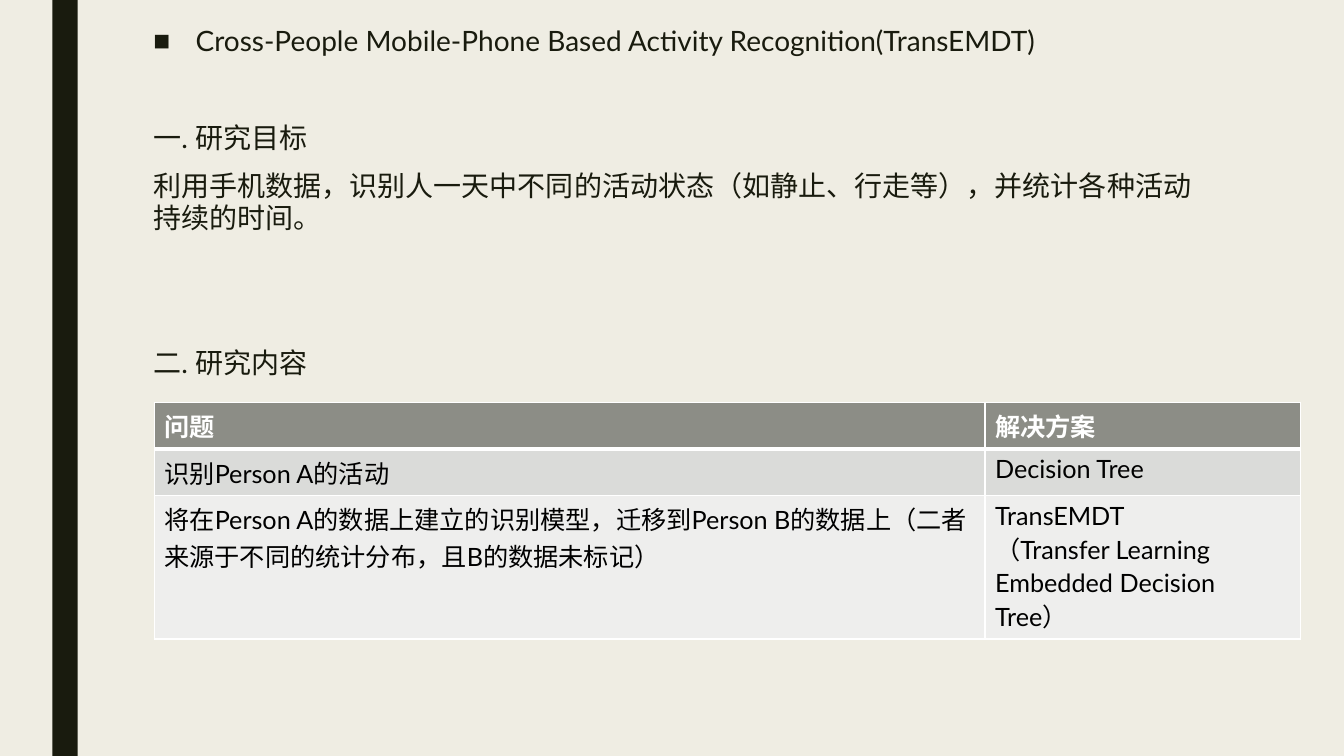
from dataclasses import dataclass

from lxml import etree
from pptx import Presentation
from pptx.dml.color import RGBColor
from pptx.enum import shapes, text
from pptx.oxml import ns
from pptx.util import Inches, Pt


@dataclass(frozen=True)
class Theme:
    font: str = "Lato"
    background: str = "EFEDE3"
    ink: str = "191B0E"
    white: str = "FFFFFF"
    black: str = "000000"
    header_fill: str = "8C8D86"
    row_fills: tuple[str, ...] = ("DADBD9", "EEEEED")
    body_size: int = 20
    table_size: int = 18


@dataclass(frozen=True)
class BodyLine:
    wording: str
    space_before: float = 10
    bulleted: bool = False


@dataclass(frozen=True)
class TableRow:
    problem: str
    solution: tuple[str, ...]


THEME = Theme()

BODY_LINES = [
    BodyLine("Cross-People Mobile-Phone Based Activity Recognition(TransEMDT)", bulleted=True),
    BodyLine("一. 研究目标", space_before=44.6),
    BodyLine("利用手机数据，识别人一天中不同的活动状态（如静止、行走等），并统计各种活动持续的时间。"),
    BodyLine("二. 研究内容", space_before=79.2),
]

TABLE_ROWS = [
    TableRow("问题", ("解决方案",)),
    TableRow("识别Person A的活动", ("Decision Tree",)),
    TableRow(
        "将在Person A的数据上建立的识别模型，迁移到Person B的数据上（二者来源于不同的统计分布，且B的数据未标记）",
        ("TransEMDT", "（Transfer Learning Embedded Decision Tree）"),
    ),
]


def color(value: str) -> RGBColor:
    return RGBColor.from_string(value)


def add_run(paragraph, wording: str, size: int, ink: str, bold: bool = False) -> None:
    run = paragraph.add_run()
    run.text = wording
    run.font.name = THEME.font
    run.font.size = Pt(size)
    run.font.bold = bold
    run.font.color.rgb = color(ink)


def set_bullet(paragraph, bulleted: bool) -> None:
    properties = paragraph._p.get_or_add_pPr()
    indent = Inches(0.42) if bulleted else 0
    properties.set("marL", str(indent))
    properties.set("indent", str(-indent))
    if bulleted:
        etree.SubElement(properties, ns.qn("a:buChar"), char="■")
    else:
        etree.SubElement(properties, ns.qn("a:buNone"))


def add_side_bar(slide) -> None:
    bar = slide.shapes.add_shape(
        shapes.MSO_SHAPE.RECTANGLE, Inches(0.52), 0, Inches(0.25), Inches(7.5)
    )
    bar.shadow.inherit = False
    bar.fill.solid()
    bar.fill.fore_color.rgb = color(THEME.ink)
    bar.line.fill.background()


def fill_body(body, lines: list[BodyLine]) -> None:
    body.left, body.top = Inches(1.42), Inches(0.21)
    body.width, body.height = Inches(10.5), Inches(7.01)
    frame = body.text_frame
    frame.word_wrap = True
    frame.auto_size = text.MSO_AUTO_SIZE.NONE
    frame.vertical_anchor = text.MSO_ANCHOR.TOP
    for index, line in enumerate(lines):
        paragraph = frame.add_paragraph() if index else frame.paragraphs[0]
        paragraph.alignment = text.PP_ALIGN.LEFT
        paragraph.line_spacing = 0.94
        paragraph.space_before = Pt(line.space_before)
        paragraph.space_after = Pt(2)
        set_bullet(paragraph, line.bulleted)
        add_run(paragraph, line.wording, THEME.body_size, THEME.ink)


def set_borders(cell, top: int, bottom: int) -> None:
    properties = cell._tc.get_or_add_tcPr()
    for side, width in (("L", 1), ("R", 1), ("T", top), ("B", bottom)):
        line = etree.SubElement(properties, ns.qn(f"a:ln{side}"), w=str(Pt(width)))
        fill = etree.SubElement(line, ns.qn("a:solidFill"))
        etree.SubElement(fill, ns.qn("a:srgbClr"), val=THEME.white)


def fill_cell(cell, wordings: tuple[str, ...], row_index: int) -> None:
    header = row_index == 0
    set_borders(cell, top=3 if row_index == 1 else 1, bottom=3 if header else 1)
    cell.fill.solid()
    cell.fill.fore_color.rgb = color(
        THEME.header_fill if header else THEME.row_fills[row_index - 1]
    )
    for index, wording in enumerate(wordings):
        frame = cell.text_frame
        paragraph = frame.add_paragraph() if index else frame.paragraphs[0]
        add_run(paragraph, wording, THEME.table_size, THEME.white if header else THEME.black, header)


def add_problem_table(slide, rows: list[TableRow]) -> None:
    height = Inches(1.81)
    frame = slide.shapes.add_table(
        len(rows), 2, Inches(1.53), Inches(3.99), Inches(11.37), height
    )
    table = frame.table
    for column, width in zip(table.columns, (8.24, 3.13)):
        column.width = Inches(width)
    for index, row in enumerate(rows):
        table.rows[index].height = Inches(0.41)
        fill_cell(table.cell(index, 0), (row.problem,), index)
        fill_cell(table.cell(index, 1), row.solution, index)
    frame.height = height


def main() -> None:
    presentation = Presentation()
    presentation.slide_width, presentation.slide_height = Inches(13.33), Inches(7.5)
    slide = presentation.slides.add_slide(presentation.slide_layouts[1])
    slide.background.fill.solid()
    slide.background.fill.fore_color.rgb = color(THEME.background)
    title = slide.shapes.title.element
    title.getparent().remove(title)
    add_side_bar(slide)
    fill_body(slide.placeholders[1], BODY_LINES)
    add_problem_table(slide, TABLE_ROWS)
    presentation.save("out.pptx")


if __name__ == "__main__":
    main()
